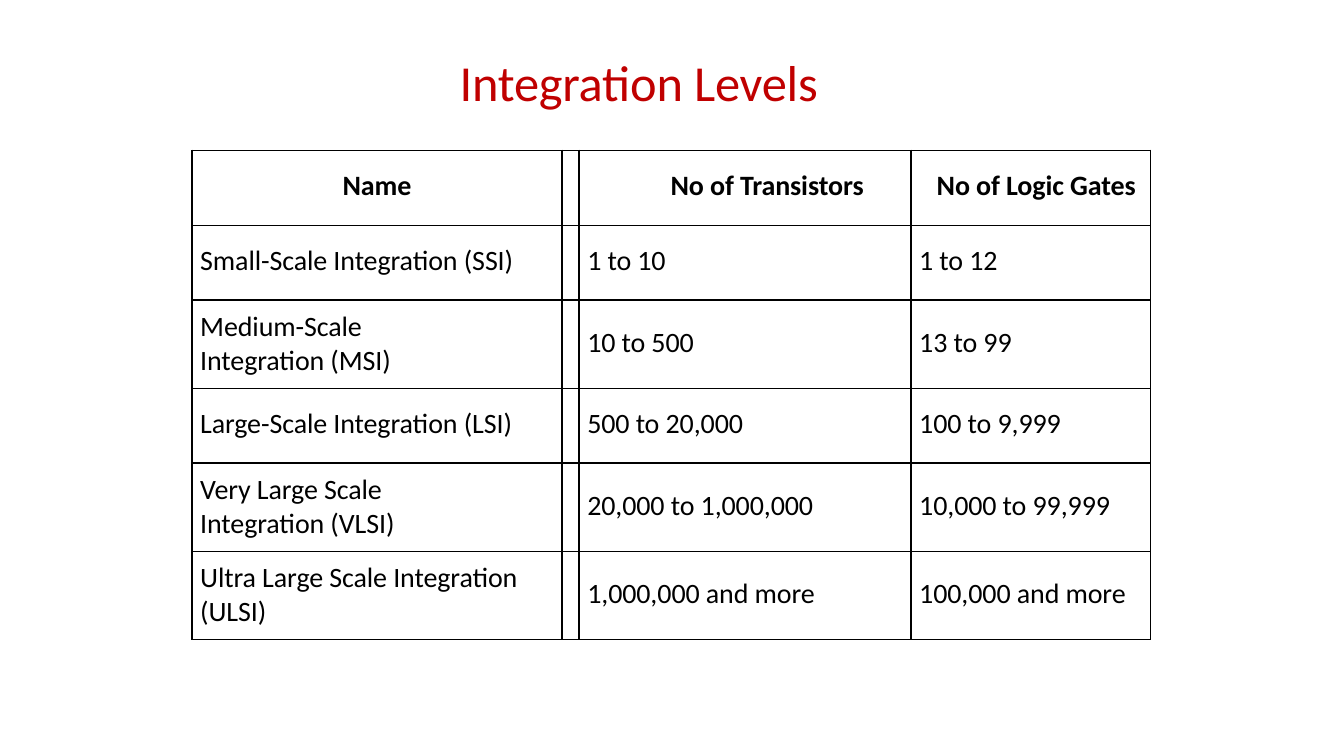
from lxml import etree
from pptx import Presentation
from pptx import util as u
from pptx.dml import color
from pptx.enum import text
from pptx.oxml import ns

COLORS = {"title": "C00000", "ink": "000000"}
COLS = [2.75, 0.13, 2.47, 1.78]
TABLE_HEIGHT = 3.64
ROWS = [
    ["Name", "", "No of Transistors", "No of Logic Gates"],
    ["Small-Scale Integration (SSI)", "", "1 to 10", "1 to 12"],
    ["Medium-Scale Integration (MSI)", "", "10 to 500", "13 to 99"],
    ["Large-Scale Integration (LSI)", "", "500 to 20,000", "100 to 9,999"],
    ["Very Large Scale Integration (VLSI)", "", "20,000 to 1,000,000", "10,000 to 99,999"],
    ["Ultra Large Scale Integration\n(ULSI)", "", "1,000,000 and more", "100,000 and more"],
]
TALL_ROWS = {2, 4, 5}
NARROW_ROWS = {2, 4}
HEADER_INDENTS = [0, 0, 0.68, 0.19]


def write(tf, content, size=15, ink="ink", bold=False, indent=0.06,
          align=text.PP_ALIGN.LEFT, spacing=-5):
    for i, line in enumerate(content.split("\n")):
        p = tf.paragraphs[0] if i == 0 else tf.add_paragraph()
        p.alignment = align
        pPr = p._p.get_or_add_pPr()
        pPr.set("marL", str(u.Inches(indent)))
        pPr.set("indent", "0")
        r = p.add_run()
        r.text = line
        r.font.name = "Calibri"
        r.font.size = u.Pt(size)
        r.font.bold = bold
        r.font.color.rgb = color.RGBColor.from_string(COLORS[ink])
        r._r.get_or_add_rPr().set("spc", str(spacing))


def add_borders(cell):
    tcPr = cell._tc.get_or_add_tcPr()
    for side in ("lnL", "lnR", "lnT", "lnB"):
        ln = etree.SubElement(tcPr, ns.qn(f"a:{side}"), w=str(u.Pt(1)))
        fill = etree.SubElement(ln, ns.qn("a:solidFill"))
        etree.SubElement(fill, ns.qn("a:srgbClr"), val=COLORS["ink"])


prs = Presentation()
prs.slide_width = u.Inches(10)
prs.slide_height = u.Inches(10 * 9 / 16)
s = prs.slides.add_slide(prs.slide_layouts[6])

heights = [0.66 if i in TALL_ROWS else 0.56 for i in range(len(ROWS))]
scale = TABLE_HEIGHT / sum(heights)
table = s.shapes.add_table(
    len(ROWS), len(COLS), u.Inches(1.43), u.Inches(1.12),
    u.Inches(sum(COLS)), u.Inches(TABLE_HEIGHT)
).table
table.first_row = False
table.horz_banding = False
for column, width in zip(table.columns, COLS):
    column.width = u.Inches(width)

for i, values in enumerate(ROWS):
    table.rows[i].height = u.Inches(heights[i] * scale)
    for j, value in enumerate(values):
        cell = table.cell(i, j)
        add_borders(cell)
        cell.fill.background()
        cell.margin_left = cell.margin_right = cell.margin_bottom = 0
        if i in TALL_ROWS:
            cell.margin_top = u.Inches(0.07 if j == 0 else 0.19)
        else:
            cell.margin_top = u.Inches(0.14)
        if j == 0 and i in NARROW_ROWS:
            cell.margin_right = u.Inches(0.8)
        if not value:
            continue
        if i == 0:
            align = text.PP_ALIGN.CENTER if j == 0 else text.PP_ALIGN.LEFT
            write(cell.text_frame, value, bold=True, indent=HEADER_INDENTS[j], align=align)
        else:
            write(cell.text_frame, value)

sp = s.shapes.add_textbox(u.Inches(1.51), u.Inches(0.37), u.Inches(6.99), u.Inches(0.48))
tf = sp.text_frame
tf.word_wrap = True
tf.margin_left = tf.margin_right = tf.margin_bottom = 0
tf.margin_top = u.Inches(0.01)
write(tf, "Integration Levels", size=27, ink="title", indent=1.91, spacing=-10)

prs.save("out.pptx")
